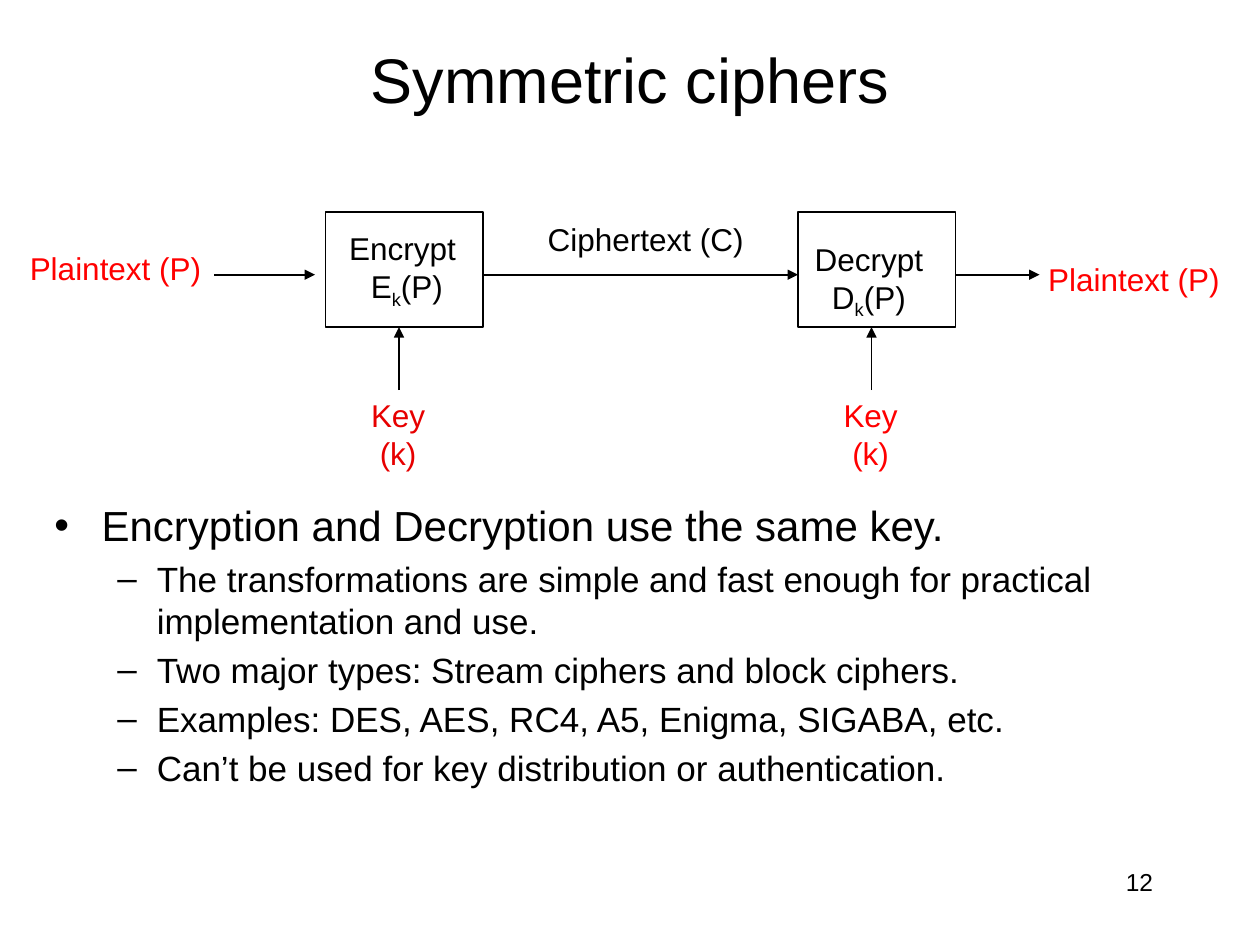
from lxml import etree
from pptx import Presentation
from pptx.dml.color import RGBColor
from pptx.enum.shapes import MSO_CONNECTOR, MSO_SHAPE
from pptx.enum.text import MSO_ANCHOR, PP_ALIGN
from pptx.oxml.ns import qn
from pptx.util import Pt

LEFT, CENTER, RIGHT = PP_ALIGN.LEFT, PP_ALIGN.CENTER, PP_ALIGN.RIGHT
TOP, MIDDLE = MSO_ANCHOR.TOP, MSO_ANCHOR.MIDDLE
RECTANGLE, STRAIGHT = MSO_SHAPE.RECTANGLE, MSO_CONNECTOR.STRAIGHT

BLACK = RGBColor(0x00, 0x00, 0x00)
RED = RGBColor(0xFF, 0x00, 0x00)
DARK_RED = RGBColor(0xE7, 0x00, 0x00)
FONT = "Arial"

BLOCK_WIDTH, BLOCK_HEIGHT, BLOCK_TOP = 90, 66, 121
FLOW_Y = 157
KEY_TOP = 223
STAGES = [
    (186, "Encrypt ", "E", (192, 127.5, 81, 50), DARK_RED),
    (456, "Decrypt ", "D", (456, 133.5, 81, 50), RED),
]
FLOWS = [(122.5, 180), (276, 456), (546, 594)]
FLOW_LABELS = [
    ("Plaintext (P)", (6, 139, 120, 29), RED),
    ("Ciphertext (C)", (294, 122, 150, 29), BLACK),
    ("Plaintext (P)", (588, 145, 120, 29), RED),
]
POINTS = [
    ("Encryption and Decryption use the same key.", 0),
    ("The transformations are simple and fast enough for practical implementation and use.", 1),
    ("Two major types: Stream ciphers and block ciphers.", 1),
    ("Examples: DES, AES, RC4, A5, Enigma, SIGABA, etc.", 1),
    ("Can’t be used for key distribution or authentication.", 1),
]
BULLET_LEVELS = [("•", 27, 27, 24), ("–", 58.5, 22.5, 20)]


def add_run(paragraph, text, size=18, color=BLACK, baseline=None):
    """Append formatted text to a paragraph."""
    run = paragraph.add_run()
    run.text = text
    run.font.name = FONT
    run.font.size = Pt(size)
    run.font.color.rgb = color
    if baseline is not None:
        run.font._element.set("baseline", str(baseline))


def add_text(slide, text, bounds, align=CENTER, anchor=TOP, wrap=True, **run_format):
    """Add a text box with one formatted paragraph and return its frame."""
    frame = slide.shapes.add_textbox(*map(Pt, bounds)).text_frame
    frame.word_wrap = wrap
    frame.vertical_anchor = anchor
    frame.paragraphs[0].alignment = align
    add_run(frame.paragraphs[0], text, **run_format)
    return frame


def add_arrow(slide, start, end):
    """Draw a thin black arrow between two points."""
    arrow = slide.shapes.add_connector(STRAIGHT, *map(Pt, start + end))
    arrow.line.color.rgb = BLACK
    arrow.line.width = Pt(1)
    etree.SubElement(arrow.line._get_or_add_ln(), qn("a:tailEnd"), type="triangle")
    etree.SubElement(arrow._element.spPr, qn("a:effectLst"))


def add_stage(slide, left, verb, function, label_bounds, key_color):
    """Draw a cipher block with its formula and the key that feeds it."""
    block = slide.shapes.add_shape(
        RECTANGLE, Pt(left), Pt(BLOCK_TOP), Pt(BLOCK_WIDTH), Pt(BLOCK_HEIGHT))
    block.shadow.inherit = False
    block.fill.background()
    block.line.color.rgb = BLACK
    block.line.width = Pt(1)

    formula = add_text(slide, verb, label_bounds, wrap=False).add_paragraph()
    formula.alignment = CENTER
    add_run(formula, function)
    add_run(formula, "k", baseline=-25000)
    add_run(formula, "(P)")

    key_x = left + 42
    add_arrow(slide, (key_x, KEY_TOP), (key_x, BLOCK_TOP + BLOCK_HEIGHT))
    add_text(slide, "Key (k)", (left + 6, KEY_TOP, 71, 29), wrap=False, color=key_color)


def add_bullets(slide, points, bounds):
    """Add a two-level bulleted list."""
    frame = slide.shapes.add_textbox(*map(Pt, bounds)).text_frame
    frame.word_wrap = True
    for index, (text, level) in enumerate(points):
        bullet, margin, hanging, size = BULLET_LEVELS[level]
        paragraph = frame.add_paragraph() if index else frame.paragraphs[0]
        paragraph.alignment = LEFT
        paragraph.level = level
        paragraph.space_before = Pt(4 if index else 0)
        properties = paragraph._p.get_or_add_pPr()
        properties.set("marL", str(Pt(margin)))
        properties.set("indent", str(-Pt(hanging)))
        etree.SubElement(properties, qn("a:buFont"), typeface=FONT)
        etree.SubElement(properties, qn("a:buChar"), char=bullet)
        add_run(paragraph, text, size=size)


def main():
    """Build the symmetric cipher slide."""
    deck = Presentation()
    deck.slide_width, deck.slide_height = Pt(720), Pt(540)
    slide = deck.slides.add_slide(deck.slide_layouts[6])
    add_text(slide, "Symmetric ciphers", (54, 18, 612, 54), anchor=MIDDLE, size=36)
    for stage in STAGES:
        add_stage(slide, *stage)
    for start_x, end_x in FLOWS:
        add_arrow(slide, (start_x, FLOW_Y), (end_x, FLOW_Y))
    for label, bounds, color in FLOW_LABELS:
        add_text(slide, label, bounds, color=color)
    add_bullets(slide, POINTS, (24, 282, 678, 198))
    add_text(slide, "12", (516, 492, 150, 36), align=RIGHT, size=14)
    deck.save("out.pptx")


if __name__ == "__main__":
    main()
